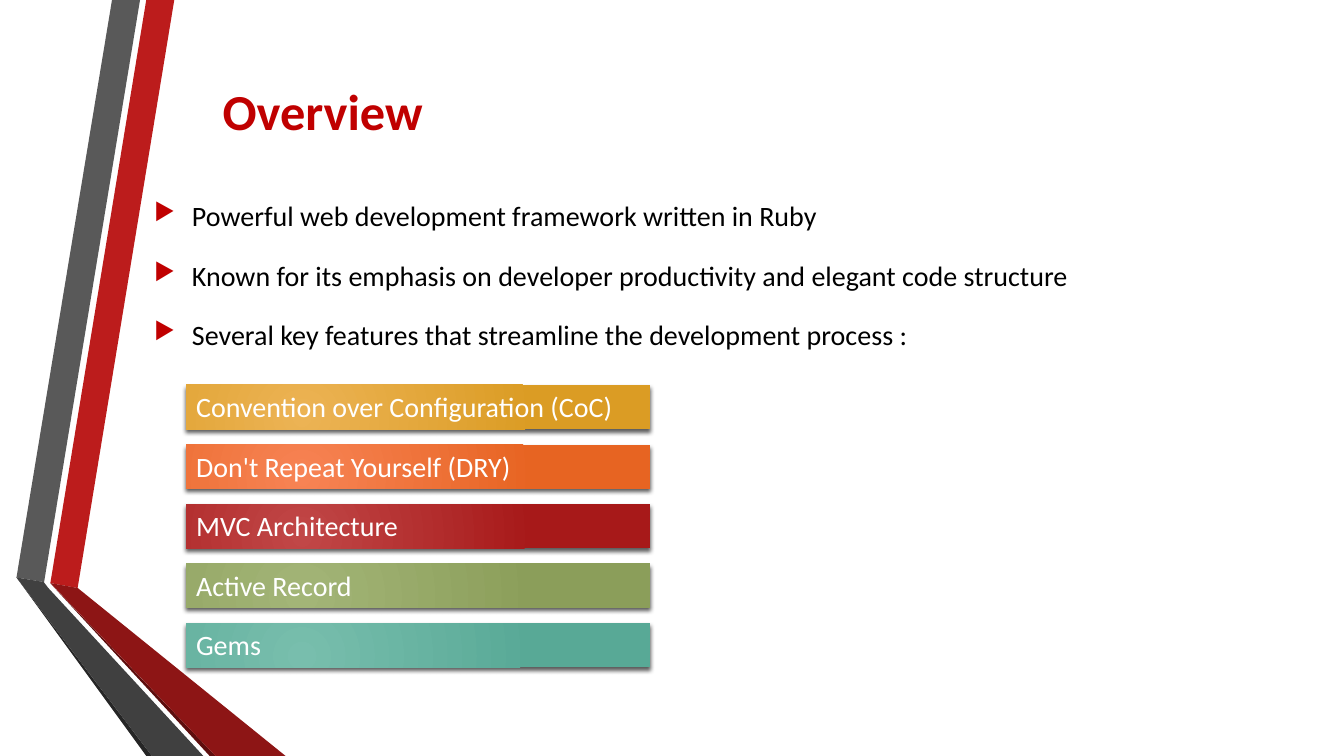
from dataclasses import dataclass

from lxml import etree
from pptx import Presentation
from pptx.dml.color import RGBColor
from pptx.enum import shapes, text
from pptx.oxml import parse_xml
from pptx.oxml.ns import nsdecls, qn
from pptx.shapes.autoshape import Shape
from pptx.slide import Slide
from pptx.util import Pt

FONT = "Calibri"
BLACK = RGBColor(0x00, 0x00, 0x00)
WHITE = RGBColor(0xFF, 0xFF, 0xFF)
ACCENT = RGBColor(0xC0, 0x00, 0x00)

ROW_STEP, ROW_HEIGHT = 42.5, 31.5
POINT_LEFT, POINT_TOP = 103, 138.25
FEATURE_LEFT, FEATURE_TOP, FEATURE_WIDTH = 133, 275, 331.25
BULLET_INDENT = 27


@dataclass(frozen=True)
class Ribbon:
    color: RGBColor
    corners: tuple[tuple[float, float], ...]


@dataclass(frozen=True)
class KeyPoint:
    wording: str
    width: float


@dataclass(frozen=True)
class Feature:
    wording: str
    light: RGBColor
    dark: RGBColor


RIBBONS = (
    Ribbon(RGBColor(0xBC, 0x1C, 0x1C), ((36, 416.5), (55.5, 420), (124.5, 0), (104.5, 0))),
    Ribbon(RGBColor(0x59, 0x59, 0x59), ((100, 0), (80, 0), (11.75, 412.5), (31.5, 415.75))),
    Ribbon(RGBColor(0x26, 0x26, 0x26), ((11.75, 412.5), (104.5, 540), (108.5, 540))),
    Ribbon(RGBColor(0x5E, 0x0E, 0x0E), ((36, 416.75), (149.75, 540), (154, 540))),
    Ribbon(RGBColor(0x8D, 0x15, 0x15), ((36, 416.5), (154, 540), (204, 540), (55.5, 420))),
    Ribbon(RGBColor(0x40, 0x40, 0x40),
           ((145.25, 540), (34.5, 420), (31.25, 415.75), (11.75, 412.5), (108.5, 540))),
)

KEY_POINTS = (
    KeyPoint("Powerful web development framework written in Ruby", 501),
    KeyPoint("Known for its emphasis on developer productivity and elegant code structure", 675.5),
    KeyPoint("Several key features that streamline the development process :", 568),
)

FEATURES = (
    Feature("Convention over Configuration (CoC)",
            RGBColor(0xEC, 0xB3, 0x54), RGBColor(0xDB, 0x9C, 0x24)),
    Feature("Don't Repeat Yourself (DRY)",
            RGBColor(0xF7, 0x83, 0x54), RGBColor(0xE7, 0x64, 0x22)),
    Feature("MVC Architecture", RGBColor(0xC1, 0x47, 0x47), RGBColor(0xA7, 0x19, 0x19)),
    Feature("Active Record", RGBColor(0xA3, 0xB5, 0x77), RGBColor(0x8B, 0x9E, 0x5A)),
    Feature("Gems", RGBColor(0x78, 0xBE, 0xAD), RGBColor(0x58, 0xA9, 0x96)),
)


def write_line(shape: Shape, wording: str, size: float, color: RGBColor,
               align: text.PP_ALIGN = text.PP_ALIGN.LEFT, bold: bool = False,
               bulleted: bool = False) -> None:
    frame = shape.text_frame
    frame.word_wrap = True
    frame.auto_size = text.MSO_AUTO_SIZE.NONE
    line = frame.paragraphs[0]
    line.text = wording
    line.alignment = align
    if bulleted:
        add_bullet(line)
    line.font.name = FONT
    line.font.size = Pt(size)
    line.font.bold = bold
    line.font.color.rgb = color


def add_bullet(line) -> None:
    properties = line._p.get_or_add_pPr()
    properties.set("marL", str(Pt(BULLET_INDENT)))
    properties.set("indent", str(-Pt(BULLET_INDENT)))
    bullet_color = etree.SubElement(properties, qn("a:buClr"))
    etree.SubElement(bullet_color, qn("a:srgbClr"), val=str(ACCENT))
    etree.SubElement(properties, qn("a:buSzPct"), val="85000")
    etree.SubElement(properties, qn("a:buChar"), char="▶")


def add_ribbon(slide: Slide, ribbon: Ribbon) -> None:
    start, *rest = [(Pt(x), Pt(y)) for x, y in ribbon.corners]
    builder = slide.shapes.build_freeform(*start)
    builder.add_line_segments(rest, close=True)
    band = builder.convert_to_shape()
    band.shadow.inherit = False
    band.fill.solid()
    band.fill.fore_color.rgb = ribbon.color
    band.line.fill.background()


def add_key_point(slide: Slide, point: KeyPoint, row: int) -> None:
    box = slide.shapes.add_textbox(Pt(POINT_LEFT), Pt(POINT_TOP + row * ROW_STEP),
                                   Pt(point.width), Pt(ROW_HEIGHT))
    write_line(box, point.wording, 20, BLACK, bulleted=True)


def add_feature(slide: Slide, feature: Feature, row: int) -> None:
    bar = slide.shapes.add_shape(shapes.MSO_SHAPE.RECTANGLE, Pt(FEATURE_LEFT),
                                 Pt(FEATURE_TOP + row * ROW_STEP),
                                 Pt(FEATURE_WIDTH), Pt(ROW_HEIGHT))
    bar.line.fill.background()
    shade(bar, feature)
    bar.text_frame.vertical_anchor = text.MSO_ANCHOR.TOP
    write_line(bar, feature.wording, 20, WHITE)


def shade(bar: Shape, feature: Feature) -> None:
    """Give the bar its radial gradient and soft drop shadow."""
    properties = bar._element.spPr
    gradient = parse_xml(
        f'<a:gradFill {nsdecls("a")} rotWithShape="1"><a:gsLst>'
        f'<a:gs pos="0"><a:srgbClr val="{feature.light}"/></a:gs>'
        f'<a:gs pos="100000"><a:srgbClr val="{feature.dark}"/></a:gs></a:gsLst>'
        '<a:path path="circle">'
        '<a:fillToRect l="50000" t="100000" r="100000" b="50000"/>'
        '</a:path></a:gradFill>')
    properties.find(qn("a:prstGeom")).addnext(gradient)
    properties.append(parse_xml(
        f'<a:effectLst {nsdecls("a")}>'
        f'<a:outerShdw blurRad="{Pt(3)}" dist="{Pt(2)}" dir="5400000" rotWithShape="0">'
        f'<a:srgbClr val="{BLACK}"><a:alpha val="64000"/></a:srgbClr>'
        '</a:outerShdw></a:effectLst>'))


def add_heading(slide: Slide) -> None:
    heading = slide.shapes.title
    heading.left, heading.top = Pt(124), Pt(57)
    heading.width, heading.height = Pt(213), Pt(44)
    heading.text_frame.vertical_anchor = text.MSO_ANCHOR.MIDDLE
    write_line(heading, "Overview", 36, ACCENT, text.PP_ALIGN.CENTER, bold=True)


def main() -> None:
    deck = Presentation()
    deck.slide_width, deck.slide_height = Pt(960), Pt(540)
    slide = deck.slides.add_slide(deck.slide_layouts[5])
    for ribbon in RIBBONS:
        add_ribbon(slide, ribbon)
    add_heading(slide)
    for row, point in enumerate(KEY_POINTS):
        add_key_point(slide, point, row)
    for row, feature in enumerate(FEATURES):
        add_feature(slide, feature, row)
    deck.save("out.pptx")


if __name__ == "__main__":
    main()
